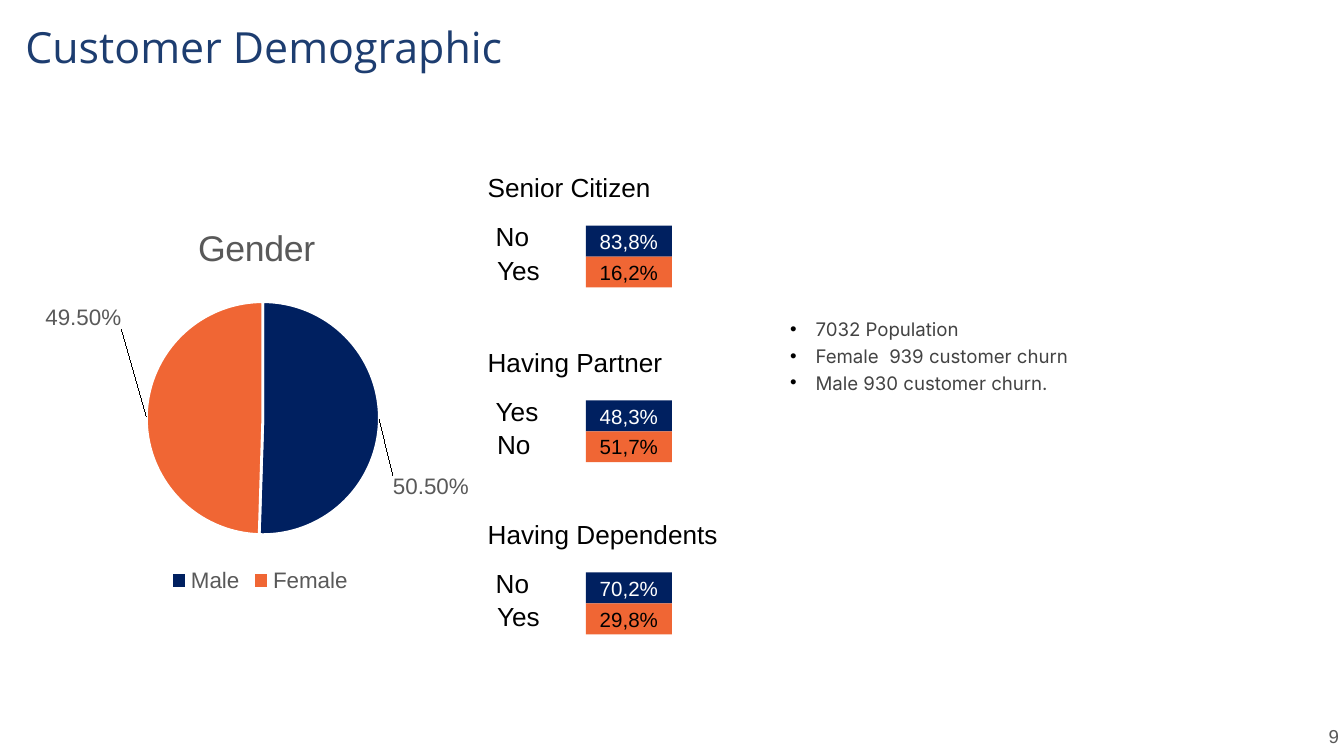
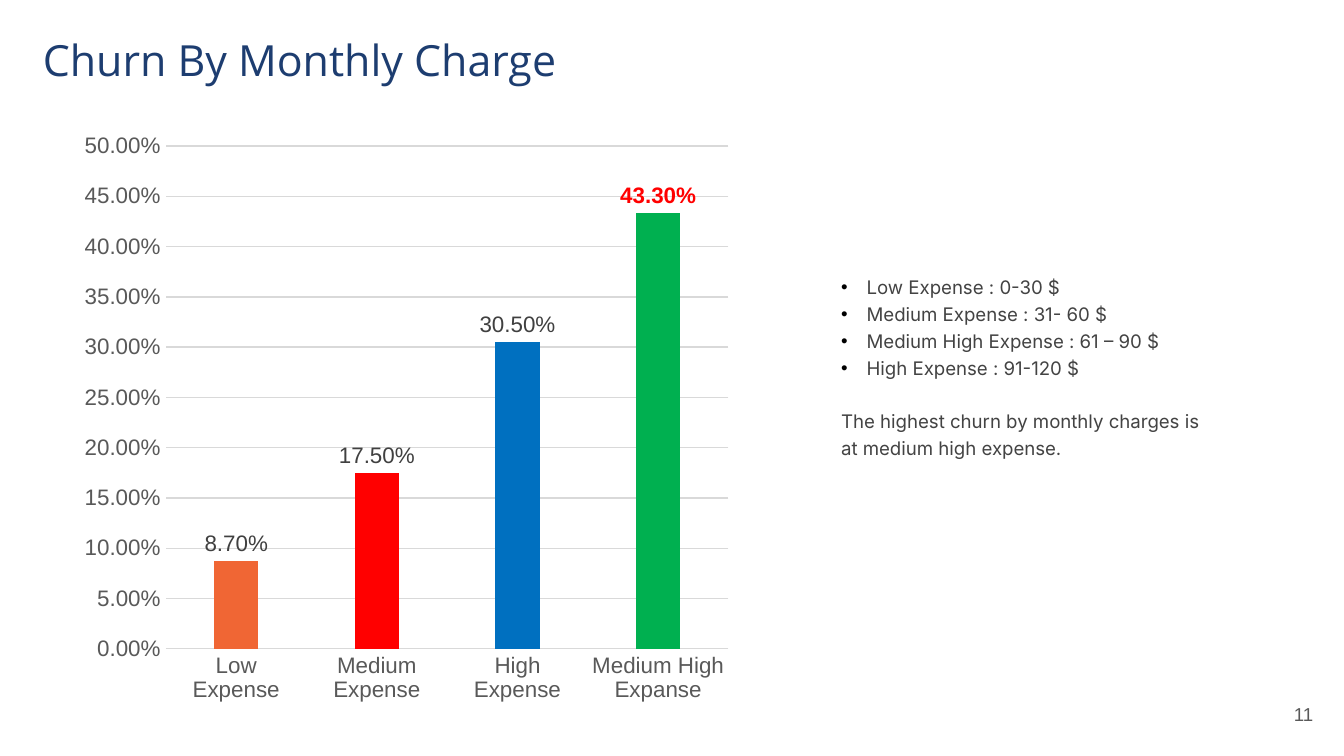
import pptx
import pptx.chart.data
import pptx.dml.color
import pptx.enum.chart
import pptx.enum.shapes
import pptx.enum.text
import pptx.oxml
import pptx.oxml.ns
import pptx.util

Inches = pptx.util.Inches
Pt = pptx.util.Pt
RGB = pptx.dml.color.RGBColor
Align = pptx.enum.text.PP_ALIGN
Anchor = pptx.enum.text.MSO_ANCHOR
ChartType = pptx.enum.chart.XL_CHART_TYPE
LabelPosition = pptx.enum.chart.XL_LABEL_POSITION
qn = pptx.oxml.ns.qn

TITLE_BLUE = RGB(0x1D, 0x3D, 0x70)
NAVY = RGB(0x00, 0x20, 0x60)
ORANGE = RGB(0xF0, 0x66, 0x34)
RED = RGB(0xFF, 0x00, 0x00)
BLUE = RGB(0x00, 0x70, 0xC0)
GREEN = RGB(0x00, 0xB0, 0x50)
BLACK = RGB(0x00, 0x00, 0x00)
WHITE = RGB(0xFF, 0xFF, 0xFF)
GREY = RGB(0x59, 0x59, 0x59)
BODY_GREY = RGB(0x43, 0x43, 0x43)
LABEL_GREY = RGB(0x40, 0x40, 0x40)
GRID_GREY = RGB(0xD9, 0xD9, 0xD9)

PERCENT = "0.00%"
WIDE_INSET = 0.1

DEMOGRAPHIC = {
    "title": ("Customer Demographic", (0.09, 0.05, 4.42, 0.67)),
    "number": ("9", (9.78, 5.28, 0.28, 0.39)),
    "notes_box": (5.78, 2.23, 3.31, 1.65),
    "bullets": ["7032 Population", "Female  939 customer churn", "Male 930 customer churn."],
    "closing": None,
}
GENDER = [("Male", 0.505, NAVY, (0.01, 0.17)), ("Female", 0.495, ORANGE, (-0.03, -0.25))]
SPLITS = [
    ("Senior Citizen", 1.65, 1.23, [("No", "83,8%"), ("Yes", "16,2%")]),
    ("Having Partner", 1.73, 2.53, [("Yes", "48,3%"), ("No", "51,7%")]),
    ("Having Dependents", 2.18, 3.81, [("No", "70,2%"), ("Yes", "29,8%")]),
]
SPLIT_COLOURS = [(NAVY, WHITE), (ORANGE, BLACK)]

MONTHLY_CHARGE = {
    "title": ("Churn By Monthly Charge", (0.22, 0.15, 4.42, 0.76)),
    "number": ("11", (9.27, 5.1, 0.6, 0.43)),
    "notes_box": (6.16, 1.92, 2.95, 2.17),
    "bullets": [
        "Low Expense : 0-30 $",
        "Medium Expense : 31- 60 $",
        "Medium High Expense : 61 – 90 $",
        "High Expense : 91-120 $",
    ],
    "closing": "The highest churn by monthly charges is at medium high expense.",
}
CHURN = [
    ("Low Expense", 0.087, ORANGE),
    ("Medium Expense", 0.175, RED),
    ("High Expense", 0.305, BLUE),
    ("Medium High Expanse", 0.433, GREEN),
]


def style(font, size, colour, name="Arial", bold=None):
    font.size = Pt(size)
    font.name = name
    font.color.rgb = colour
    font.bold = bold


def add_run(paragraph, text, size, colour, name="Arial", bold=None):
    run = paragraph.add_run()
    run.text = text
    style(run.font, size, colour, name, bold)


def add_frame(shapes, box, inset=None):
    frame = shapes.add_textbox(*map(Inches, box)).text_frame
    frame.word_wrap = True
    if inset is not None:
        frame.margin_left = frame.margin_right = Inches(inset)
        frame.margin_top = frame.margin_bottom = Inches(inset)
    return frame


def add_bullet(paragraph):
    properties = paragraph._p.get_or_add_pPr()
    properties.set("marL", str(Inches(0.19)))
    properties.set("indent", str(-Inches(0.19)))
    ns = pptx.oxml.ns.nsdecls("a")
    for xml in (
        f'<a:buClr {ns}><a:srgbClr val="{BLACK}"/></a:buClr>',
        f'<a:buFont {ns} typeface="Arial"/>',
        f'<a:buChar {ns} char="•"/>',
    ):
        properties.append(pptx.oxml.parse_xml(xml))


def add_page(deck, page):
    slide = deck.slides.add_slide(deck.slide_layouts[6])
    text, box = page["number"]
    number = add_frame(slide.shapes, box, WIDE_INSET)
    number.vertical_anchor = Anchor.MIDDLE
    number.paragraphs[0].alignment = Align.RIGHT
    add_run(number.paragraphs[0], text, 10, GREY)

    text, box = page["title"]
    title = add_frame(slide.shapes, box, WIDE_INSET)
    add_run(title.paragraphs[0], text, 23, TITLE_BLUE, "Open Sans")

    notes = add_frame(slide.shapes, page["notes_box"], WIDE_INSET)
    for index, text in enumerate(page["bullets"]):
        paragraph = notes.add_paragraph() if index else notes.paragraphs[0]
        add_bullet(paragraph)
        paragraph.line_spacing = 1.2
        add_run(paragraph, text, 10, BODY_GREY, "Inter")
    if page["closing"]:
        paragraph = notes.add_paragraph()
        paragraph.line_spacing = 1.2
        paragraph.space_before = Pt(14.4)
        add_run(paragraph, page["closing"], 10, BODY_GREY, "Inter")
    return slide


def add_percent_chart(slide, kind, box, series_name, rows):
    content = pptx.chart.data.CategoryChartData(number_format=PERCENT)
    content.categories = [row[0] for row in rows]
    content.add_series(series_name, [row[1] for row in rows])
    chart = slide.shapes.add_chart(kind, *map(Inches, box), content).chart
    style(chart.font, 10, BLACK)
    series = chart.plots[0].series[0]
    for index, row in enumerate(rows):
        fill = series.points[index].format.fill
        fill.solid()
        fill.fore_color.rgb = row[2]
    labels = series.data_labels
    labels.show_value = True
    labels.number_format = PERCENT
    labels.number_format_is_linked = False
    labels.position = LabelPosition.OUTSIDE_END
    return chart, series


def place(parent, index, **settings):
    for existing in parent.findall(qn("c:layout")):
        parent.remove(existing)
    values = "".join(f'<c:{key} val="{value}"/>' for key, value in settings.items())
    parent.insert(index, pptx.oxml.parse_xml(
        f'<c:layout {pptx.oxml.ns.nsdecls("c")}>'
        f"<c:manualLayout>{values}</c:manualLayout></c:layout>"))


def add_gender_pie(slide):
    chart, series = add_percent_chart(
        slide, ChartType.PIE, (-0.18, 1.51, 4.23, 2.94), "Gender", GENDER)
    chart.plots[0].vary_by_categories = True
    chart.has_title = True
    add_run(chart.chart_title.text_frame.paragraphs[0], "Gender", 19.1, GREY, bold=False)
    chart.chart_title.include_in_layout = False
    chart.has_legend = True
    chart.legend.position = pptx.enum.chart.XL_LEGEND_POSITION.BOTTOM
    chart.legend.include_in_layout = False
    style(chart.legend.font, 12, GREY)
    style(series.data_labels.font, 12, GREY)
    for index in range(len(GENDER)):
        point = series.points[index]
        point.format.line.color.rgb = WHITE
        point.format.line.width = Pt(1.5)
        style(point.data_label.font, 12, GREY)
        point.data_label.position = LabelPosition.OUTSIDE_END
    space = chart._chartSpace
    for label, (_, _, _, (x, y)) in zip(space.xpath(".//c:dLbl"), GENDER):
        place(label, 1, x=x, y=y)
    place(space.xpath("c:chart/c:title")[0], 1, xMode="edge", yMode="edge", x=0.38, y=0.04)
    place(space.xpath("c:chart/c:plotArea")[0], 0, layoutTarget="inner",
          xMode="edge", yMode="edge", x=0.3, y=0.25, w=0.41, h=0.59)


def add_split(slide, heading, width, top, rows):
    shapes = slide.shapes.add_group_shape().shapes

    def add_label(text, box):
        frame = add_frame(shapes, box)
        frame.auto_size = pptx.enum.text.MSO_AUTO_SIZE.SHAPE_TO_FIT_TEXT
        add_run(frame.paragraphs[0], text, 14, BLACK)

    add_label(heading, (3.53, top, width, 0.34))
    for index, ((answer, share), (fill, ink)) in enumerate(zip(rows, SPLIT_COLOURS)):
        bar = shapes.add_shape(
            pptx.enum.shapes.MSO_SHAPE.RECTANGLE,
            *map(Inches, (4.36, top + 0.45 + 0.23 * index, 0.64, 0.23)))
        bar.shadow.inherit = False
        bar.fill.solid()
        bar.fill.fore_color.rgb = fill
        bar.line.fill.background()
        bar.text_frame.vertical_anchor = Anchor.MIDDLE
        bar.text_frame.word_wrap = True
        bar.text_frame.paragraphs[0].alignment = Align.CENTER
        add_run(bar.text_frame.paragraphs[0], share, 11, ink)
    for index, (answer, _) in enumerate(rows):
        add_label(answer, (3.59 + 0.01 * index, top + 0.36 + 0.25 * index, 0.7, 0.34))


def add_churn_columns(slide):
    chart, series = add_percent_chart(
        slide, ChartType.COLUMN_CLUSTERED, (0.53, 0.91, 4.99, 4.4), "Series 1", CHURN)
    chart.has_title = False
    chart.has_legend = False
    plot = chart.plots[0]
    plot.vary_by_categories = False
    plot.gap_width = 219
    plot.overlap = -27
    series.format.fill.solid()
    series.format.fill.fore_color.rgb = ORANGE
    style(series.data_labels.font, 12, LABEL_GREY)
    highest = series.points[len(CHURN) - 1].data_label
    add_run(highest.text_frame.paragraphs[0], "43.30%", 12, RED, bold=True)
    highest.position = LabelPosition.OUTSIDE_END

    for axis in (chart.category_axis, chart.value_axis):
        axis.major_tick_mark = axis.minor_tick_mark = pptx.enum.chart.XL_TICK_MARK.NONE
        style(axis.tick_labels.font, 12, GREY)
    shares = chart.value_axis
    shares.minimum_scale = 0
    shares.maximum_scale = 0.5
    shares.major_unit = 0.05
    shares.has_major_gridlines = True
    shares.tick_labels.number_format = PERCENT
    shares.tick_labels.number_format_is_linked = False
    shares.format.line.fill.background()
    for line in (chart.category_axis.format.line, shares.major_gridlines.format.line):
        line.color.rgb = GRID_GREY
        line.width = Pt(0.75)


def main():
    deck = pptx.Presentation()
    deck.slide_width = Inches(10)
    deck.slide_height = deck.slide_width * 9 // 16

    demographic = add_page(deck, DEMOGRAPHIC)
    add_gender_pie(demographic)
    for split in SPLITS:
        add_split(demographic, *split)

    add_churn_columns(add_page(deck, MONTHLY_CHARGE))
    deck.save("out.pptx")


if __name__ == "__main__":
    main()
